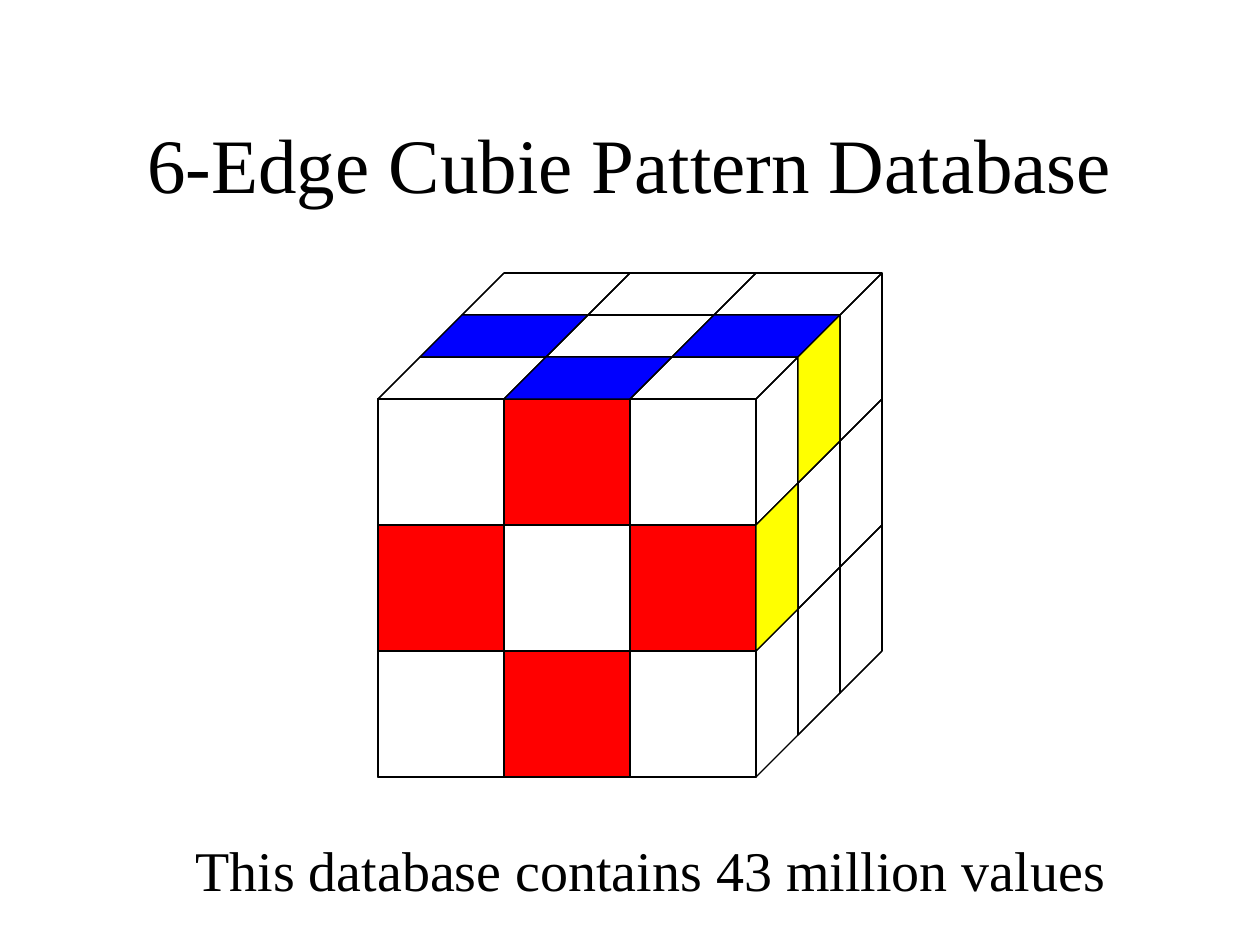
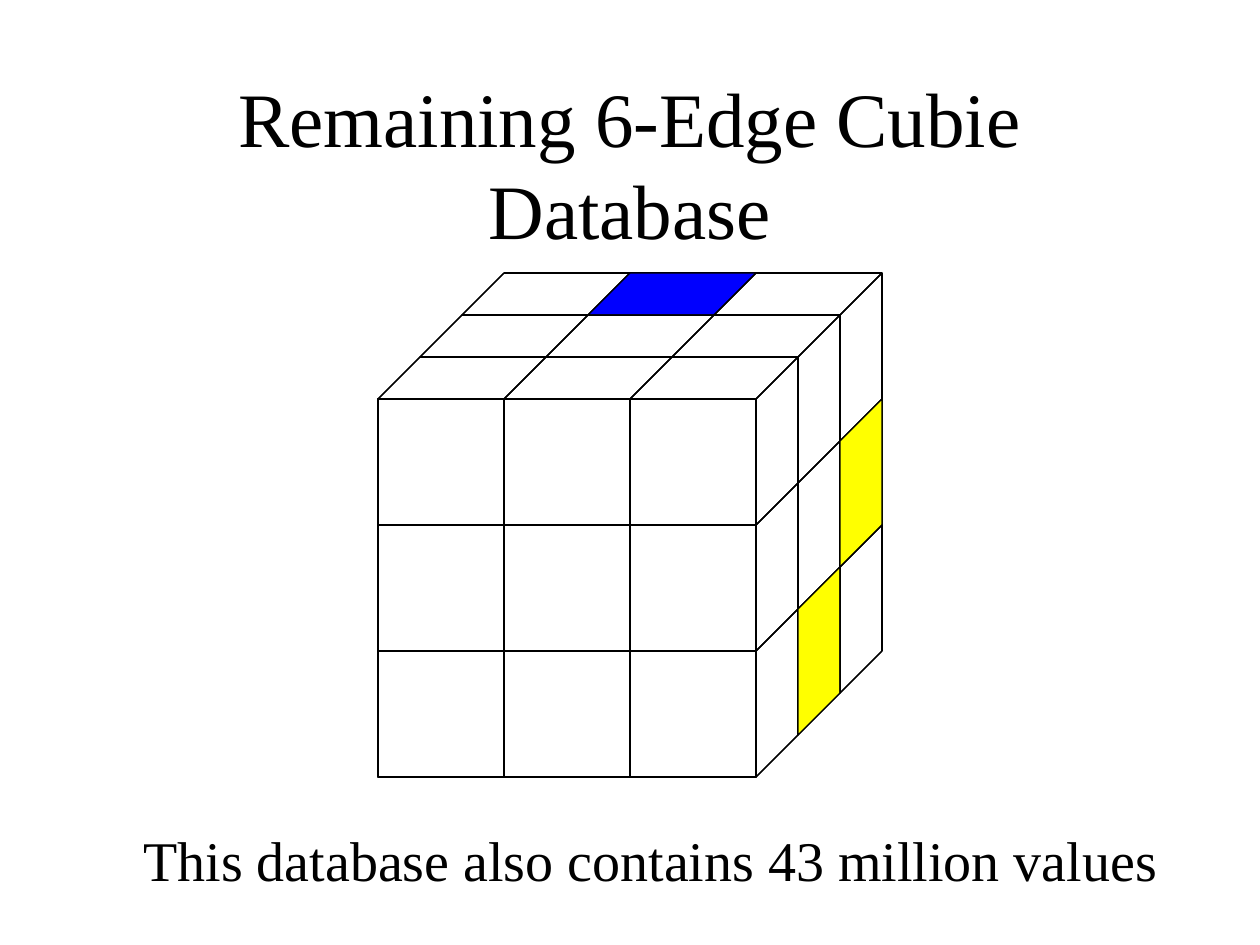
"""Build two slides showing the edge cubies covered by each pattern database."""

from itertools import product

from lxml.etree import SubElement
from pptx import Presentation
from pptx.dml.color import RGBColor
from pptx.enum.shapes import MSO_CONNECTOR, MSO_SHAPE
from pptx.enum.text import MSO_ANCHOR, PP_ALIGN
from pptx.oxml.ns import qn
from pptx.util import Pt

deck = Presentation()
for name, value in {"slide_width": Pt(720), "slide_height": Pt(540)}.items():
    setattr(deck, name, value)

COLUMNS = 30
UNIT = deck.slide_width / COLUMNS
CELL, FACE = 3, 9
LEFT, TOP = 9, 9.5
RIGHT = LEFT + FACE
TITLE_AREA = (2.25, 2, 25.5, 3.75)
STICKERS = {"R": "FF0000", "B": "0000FF", "Y": "FFFF00"}
INK = "000000"


def grid(*lengths):
    """Turn grid columns or rows into slide lengths."""
    return [round(length * UNIT) for length in lengths]


def color(hex_text):
    """Return the colour for a hex string."""
    return RGBColor.from_string(hex_text)


EDGES = [(LEFT, TOP, LEFT + CELL, TOP - CELL)]
for step in (1, 2, 3):
    across, down = LEFT + step * CELL, TOP + step * CELL
    EDGES += [
        (across, TOP, across + CELL, TOP - CELL),
        (RIGHT, down, RIGHT + CELL, down - CELL),
        (LEFT + step, TOP - step, RIGHT + step, TOP - step),
        (RIGHT + step, TOP - step, RIGHT + step, TOP - step + FACE),
    ]
    if step < 3:
        EDGES += [(across, TOP, across, TOP + FACE), (LEFT, down, RIGHT, down)]

SLIDES = [
    {
        "title": "6-Edge Cubie Pattern Database",
        "caption": "This database contains 43 million values",
        "caption_area": (3.5, 19.75, 24, 1.92),
        "front": (".R-", "R.R", ".R."),
        "top": ("...", "B.B", ".B."),
        "side": (".Y.", "Y..", "-.."),
    },
    {
        "title": "Remaining 6-Edge Cubie Database",
        "caption": "This database also contains 43 million values",
        "caption_area": (2.5, 19.5, 26, 1.92),
        "front": ("..-", "...", "..."),
        "top": (".B.", "...", "..."),
        "side": ("...", "..Y", ".Y."),
    },
]

for content in SLIDES:
    page = deck.slides.add_slide(deck.slide_layouts[6])

    for text, area, size, anchor in (
        (content["title"], TITLE_AREA, 44, MSO_ANCHOR.MIDDLE),
        (content["caption"], content["caption_area"], 32, MSO_ANCHOR.TOP),
    ):
        box = page.shapes.add_textbox(*grid(*area))
        frame = box.text_frame
        for name, value in {"word_wrap": True, "vertical_anchor": anchor}.items():
            setattr(frame, name, value)
        para = frame.paragraphs[0]
        para.alignment = PP_ALIGN.CENTER
        span = para.add_run()
        span.text = text
        for name, value in {"name": "Times New Roman", "size": Pt(size)}.items():
            setattr(span.font, name, value)
        span.font.color.rgb = color(INK)

    cube = page.shapes.add_group_shape()
    outline = cube.shapes.add_shape(
        MSO_SHAPE.RECTANGLE, *grid(LEFT, TOP, FACE, FACE))
    outline.fill.background()
    outline.shadow.inherit = False
    drawn = [outline]

    for ends in EDGES:
        edge = cube.shapes.add_connector(MSO_CONNECTOR.STRAIGHT, *grid(*ends))
        drawn.append(edge)

    for face, row, column in product(("front", "top", "side"), range(3), range(3)):
        mark = content[face][row][column]
        if mark == "-":
            continue
        kind, area = {
            "front": (MSO_SHAPE.RECTANGLE,
                      (LEFT + CELL * column, TOP + CELL * row, CELL, CELL)),
            "top": (MSO_SHAPE.PARALLELOGRAM,
                    (LEFT + CELL * column + 2 - row, TOP - CELL + row, CELL + 1, 1)),
            "side": (MSO_SHAPE.PARALLELOGRAM,
                     (RIGHT - 1.5 + column, TOP + 0.5 + CELL * row - column, CELL + 1, 1)),
        }[face]
        cubie = cube.shapes.add_shape(kind, *grid(*area))
        cubie.shadow.inherit = False
        if face != "front":
            cubie.adjustments[0] = 1
        if face == "side":
            cubie.rotation = 270
            cubie.element.spPr.get_or_add_xfrm().set("flipH", "1")
        if mark in STICKERS:
            cubie.fill.solid()
            cubie.fill.fore_color.rgb = color(STICKERS[mark])
        else:
            cubie.fill.background()
        drawn.append(cubie)

    for shape in drawn:
        shape.line.width = Pt(0.75)
        shape.line.color.rgb = color(INK)
        if shape.element.tag == qn("p:cxnSp"):
            SubElement(shape.element.spPr, qn("a:effectLst"))

deck.save("out.pptx")
